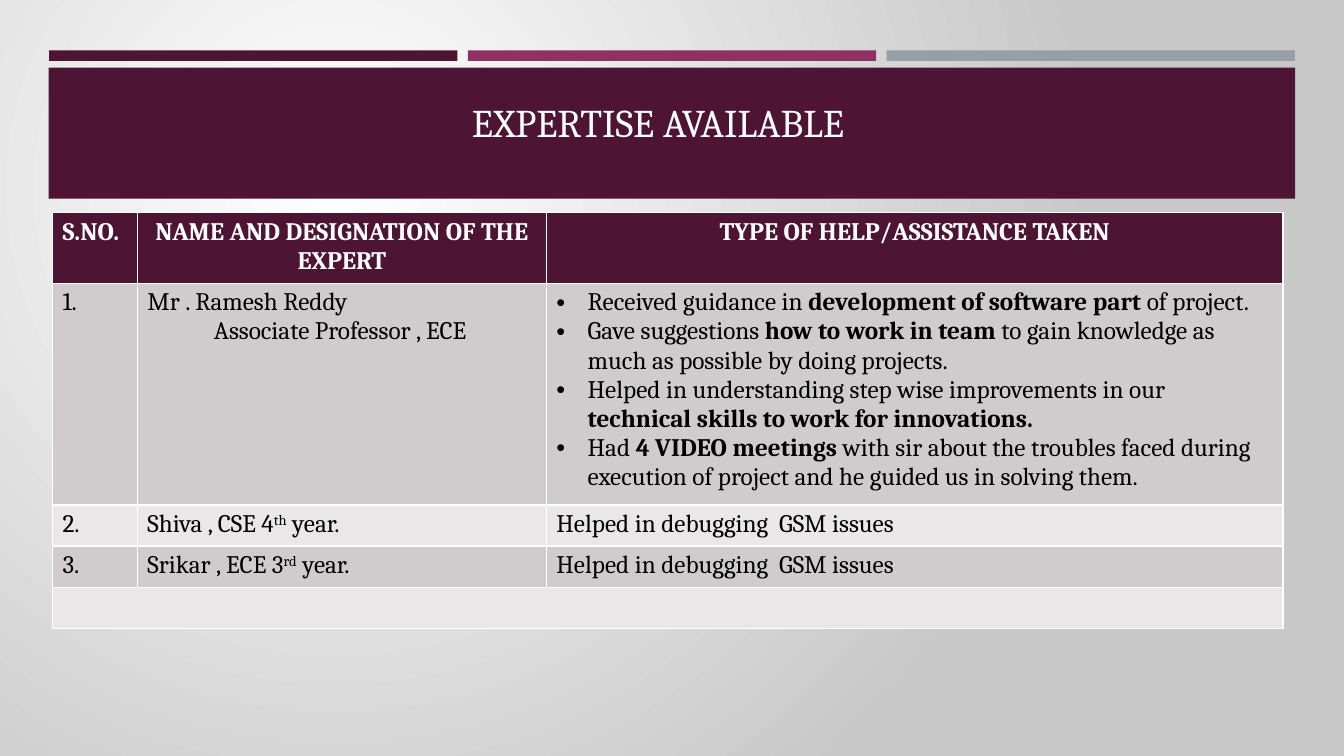
from lxml.etree import SubElement
from pptx import Presentation
from pptx.dml.color import RGBColor
from pptx.enum.shapes import MSO_SHAPE
from pptx.enum.text import MSO_ANCHOR, PP_ALIGN
from pptx.oxml.ns import qn
from pptx.util import Inches, Pt

PLUM, ROSE, GREY = "4D1434", "903163", "969FA7"
WHITE, BLACK, SILVER = "FFFFFF", "000000", "C8C8C8"
BANDS = ["E9E7E8", "D0CCCE"]
COLS, ROWS = 32, 18


def hue(code):
    """Turn a hex string into a colour."""
    return RGBColor.from_string(code)


def put(item, style):
    """Set each attribute in style on item."""
    for name, value in style.items():
        setattr(item, name, value)


def node(parent, tag, **attrs):
    """Add a drawing element below parent."""
    return SubElement(parent, qn("a:" + tag), attrs)


class Board:
    """The current slide, its grid and its text style."""

    def __init__(self, deck):
        """Add a blank slide and measure the grid."""
        self.font = "Cambria"
        self.slide = deck.slides.add_slide(deck.slide_layouts[6])
        self.col = deck.slide_width / COLS
        self.row = deck.slide_height / ROWS

    def area(self, x, y, w, h):
        """Convert columns and rows to lengths."""
        return [int(n) for n in (x * self.col, y * self.row, w * self.col, h * self.row)]

    def glow(self, inner, outer):
        """Fill the background with a round gradient."""
        fill = self.slide.background.fill
        fill.gradient()
        for stop, code, place in zip(fill.gradient_stops, (inner, outer), (0, 1)):
            stop.color.rgb = hue(code)
            stop.position = place
        line = next(self.slide._element.iter(qn("a:lin")))
        grad = line.getparent()
        grad.remove(line)
        ring = node(grad, "path", path="circle")
        node(ring, "fillToRect", l="50000", t="50000", r="100000", b="100000")

    def bar(self, x, y, w, h, code):
        """Draw a plain filled rectangle."""
        shape = self.slide.shapes.add_shape(MSO_SHAPE.RECTANGLE, *self.area(x, y, w, h))
        shape.shadow.inherit = False
        shape.fill.solid()
        shape.fill.fore_color.rgb = hue(code)
        shape.line.fill.background()

    def words(self, para, text, code, size=18, bold=False):
        """Add runs; *stars* mark bold and ^carets^ mark raised text."""
        for i, part in enumerate(text.split("*")):
            for j, bit in enumerate(part.split("^")):
                if not bit:
                    continue
                run = para.add_run()
                run.text = bit
                put(run.font, {"name": self.font, "size": Pt(size), "bold": bold or i % 2 == 1})
                run.font.color.rgb = hue(code)
                if j % 2:
                    run._r.get_or_add_rPr().set("baseline", "30000")

    def title(self, x, y, w, h, text):
        """Add the slide heading."""
        frame = self.slide.shapes.add_textbox(*self.area(x, y, w, h)).text_frame
        put(frame, {"word_wrap": True, "vertical_anchor": MSO_ANCHOR.BOTTOM})
        self.words(frame.paragraphs[0], text, WHITE, 28)

    def cell(self, cell, code):
        """Give a table cell its borders and fill."""
        props = cell._tc.get_or_add_tcPr()
        for side in "LRTB":
            edge = node(props, "ln" + side, w=str(Pt(1)))
            node(node(edge, "solidFill"), "srgbClr", val=WHITE)
        cell.fill.solid()
        cell.fill.fore_color.rgb = hue(code)

    def lines(self, cell, items, head, mid):
        """Fill a cell with paragraphs given as (text, indent, bullet)."""
        frame = cell.text_frame
        for k, (text, inset, dot) in enumerate(items):
            para = frame.add_paragraph() if k else frame.paragraphs[0]
            if mid:
                para.alignment = PP_ALIGN.CENTER
            props = para._p.get_or_add_pPr()
            props.set("marL", str(Inches(inset)))
            if dot:
                props.set("indent", str(-Inches(inset)))
                node(props, "buFont", typeface="Arial")
                node(props, "buChar", char="•")
            self.words(para, text, WHITE if head else BLACK, bold=head)

    def table(self, x, y, widths, high, data):
        """Add a banded table; an empty data row becomes one merged cell."""
        box = self.area(x, y, sum(widths), high * len(data))
        grid = self.slide.shapes.add_table(len(data), len(widths), *box).table
        for col, wide in zip(grid.columns, widths):
            col.width = int(wide * self.col)
        for r, items in enumerate(data):
            grid.rows[r].height = int(high * self.row)
            for c in range(len(widths)):
                self.cell(grid.cell(r, c), BANDS[r % 2] if r else PLUM)
            for c, item in enumerate(items):
                paras = [(item, 0, False)] if isinstance(item, str) else item
                self.lines(grid.cell(r, c), paras, r == 0, r == 0 and c > 0)
            if not items:
                grid.cell(r, 0).merge(grid.cell(r, len(widths) - 1))


HELP = [
    "Received guidance in *development of software part* of project.",
    "Gave suggestions *how to work in team* to gain knowledge as much as possible by doing projects.",
    "Helped in understanding step wise improvements in our *technical skills to work for innovations.*",
    "Had *4 VIDEO meetings* with sir about the troubles faced during execution of project "
    "and he guided us in solving them.",
]
DEBUG = "Helped in debugging  GSM issues"
EXPERTS = [
    ["S.NO.", "NAME AND DESIGNATION OF THE EXPERT", "TYPE OF HELP/ASSISTANCE TAKEN"],
    ["1.",
     [("Mr . Ramesh Reddy", 0, False), ("Associate Professor , ECE", 0.66, False)],
     [(text, 0.31, True) for text in HELP]],
    ["2.", "Shiva , CSE 4^th^ year.", DEBUG],
    ["3.", "Srikar , ECE 3^rd^ year.", DEBUG],
    [],
]

deck = Presentation()
put(deck, {"slide_width": Inches(13.33), "slide_height": Inches(7.5)})
board = Board(deck)
board.glow(WHITE, SILVER)
for k, code in enumerate([PLUM, ROSE, GREY]):
    board.bar(1.17 + k * 9.97, 1.2, 9.72, 0.25, code)
board.bar(1.16, 1.61, 29.68, 3.12, PLUM)
board.title(11, 1.61, 10.03, 1.97, "EXPERTISE AVAILABLE")
board.table(1.25, 5.06, [2.02, 9.74, 17.54], 0.98, EXPERTS)
deck.save("out.pptx")
